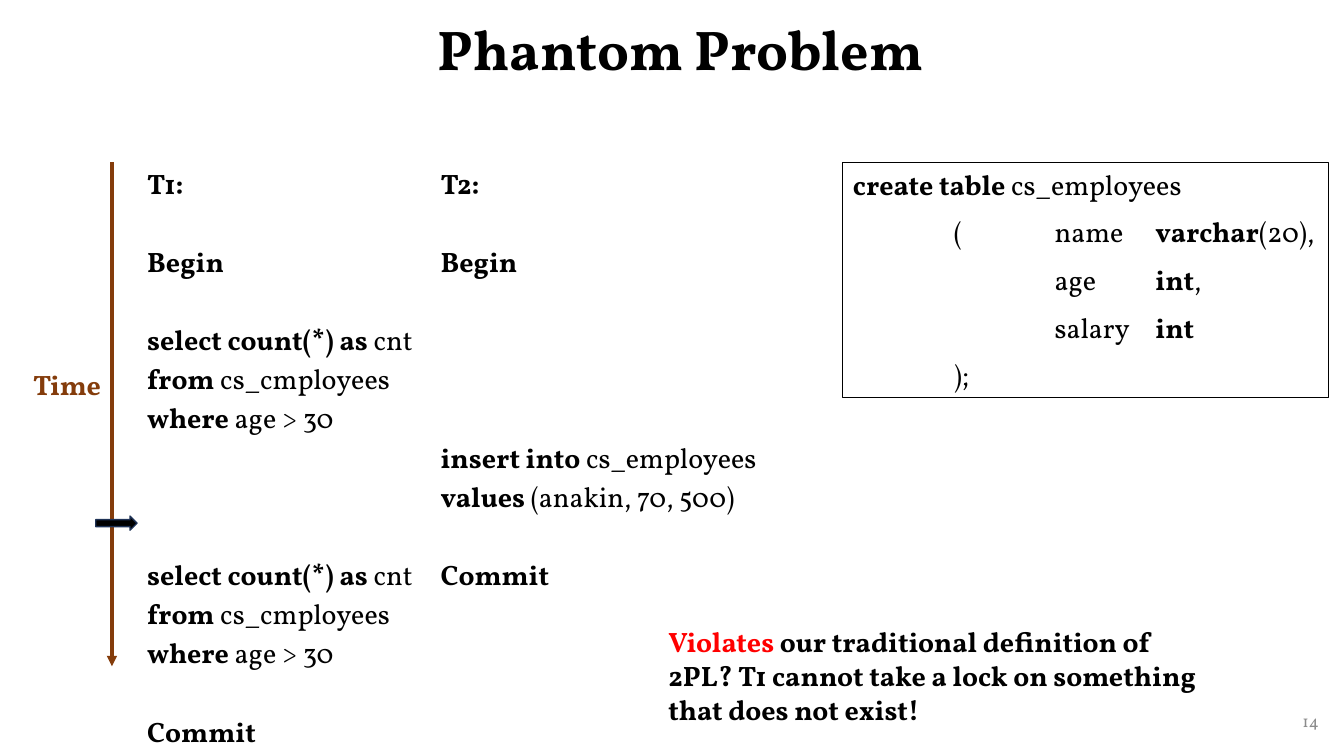
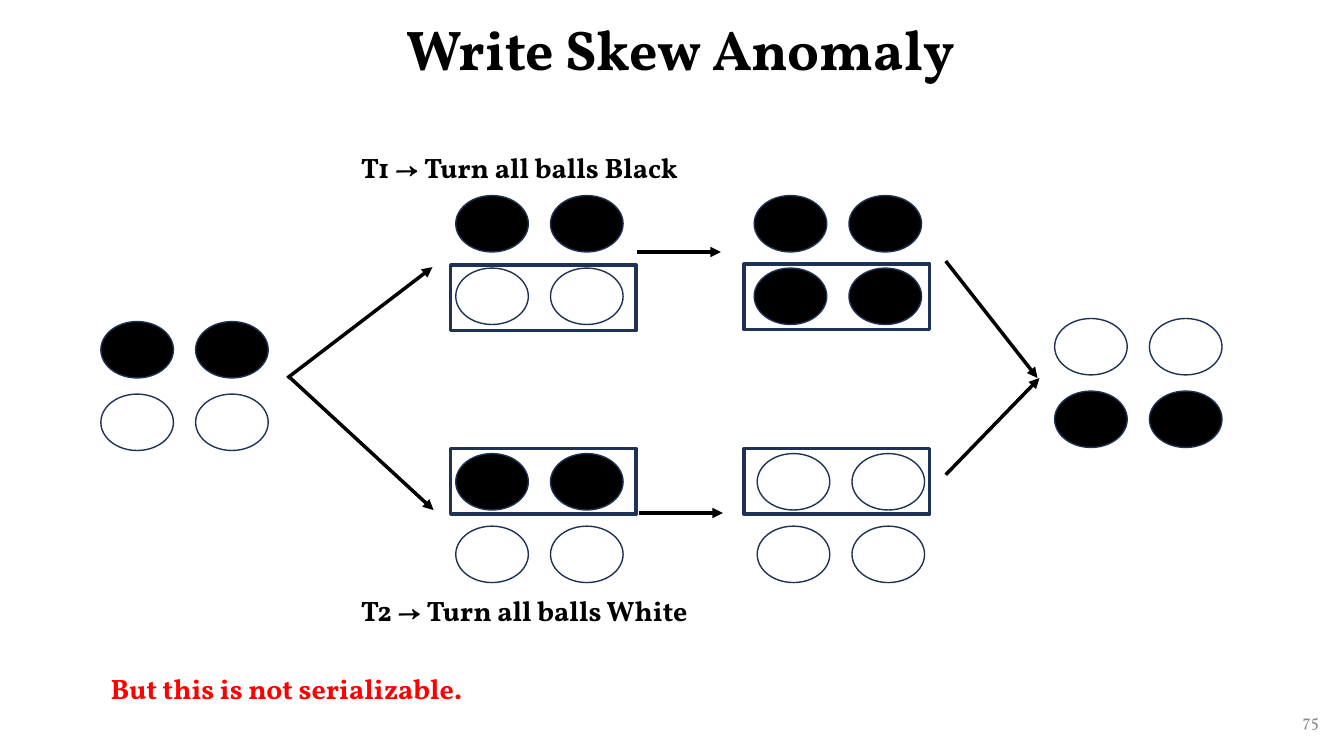
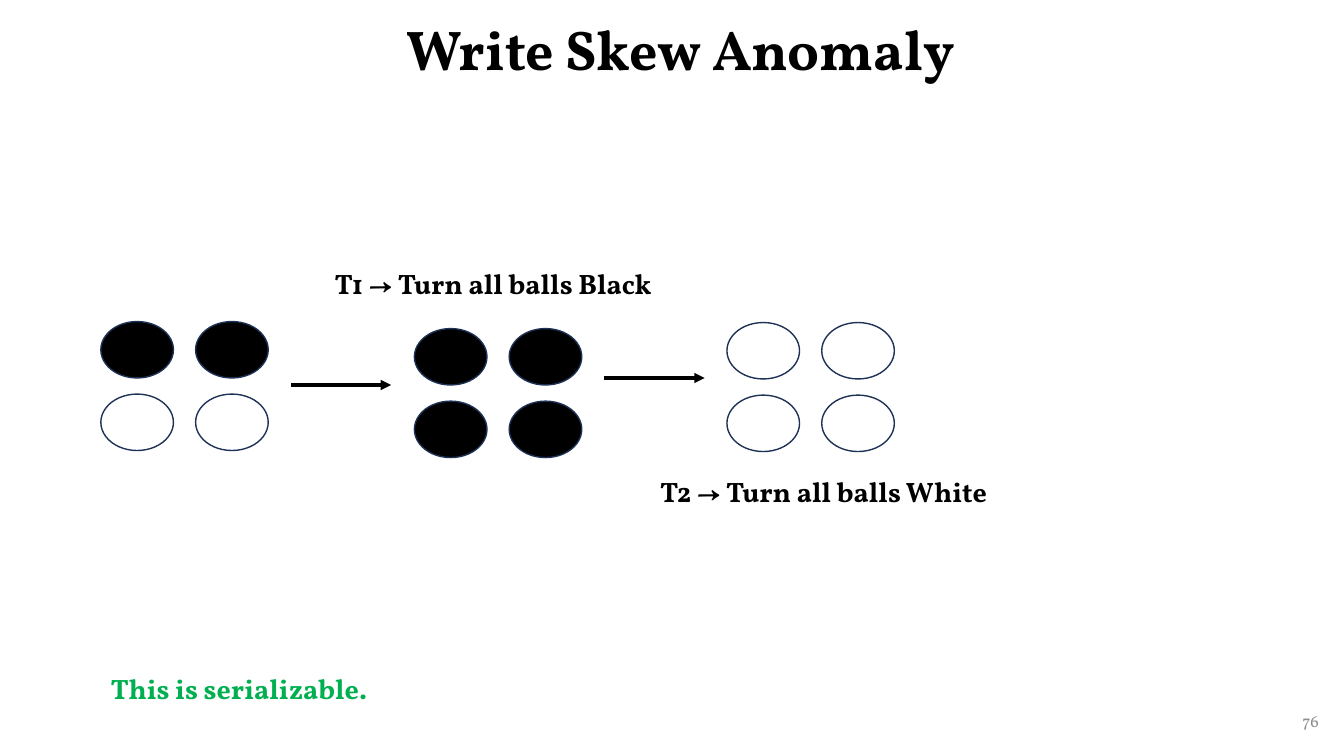
from lxml.etree import SubElement
from pptx import Presentation
from pptx.dml.color import RGBColor
from pptx.enum.shapes import MSO_CONNECTOR, MSO_SHAPE
from pptx.enum.text import MSO_ANCHOR, MSO_AUTO_SIZE, PP_ALIGN
from pptx.oxml.ns import qn
from pptx.util import Inches, Pt

BLACK = RGBColor(0x00, 0x00, 0x00)
WHITE = RGBColor(0xFF, 0xFF, 0xFF)
GRAY = RGBColor(0x8C, 0x8C, 0x8C)
NAVY = RGBColor(0x1E, 0x32, 0x56)
BROWN = RGBColor(0x84, 0x3C, 0x0B)
RED = RGBColor(0xFF, 0x00, 0x00)
GREEN = RGBColor(0x00, 0xB0, 0x50)
FONT = "Vollkorn"
BALL_W, BALL_H = 0.72, 0.56
BALL_STEP_X, BALL_STEP_Y = 0.94, 0.72
FRAME_W, FRAME_H = 1.84, 0.65
TIME_STEP_PT = 28


def write(paragraph, *pieces, size=20, bold=True, color=BLACK, align=None,
          before=None, spacing=None):
    """Append pieces as runs that alternate between bold and regular."""
    if align is not None:
        paragraph.alignment = align
    if before is not None:
        paragraph.space_before = Pt(before)
    if spacing is not None:
        paragraph.line_spacing = spacing
    for index, piece in enumerate(pieces):
        run = paragraph.add_run()
        run.text = piece
        run.font.name = FONT
        run.font.size = Pt(size)
        run.font.bold = bold == (index % 2 == 0)
        run.font.color.rgb = color


def add_arrow(slide, start, end, color=BLACK):
    points = [Inches(value) for value in (*start, *end)]
    arrow = slide.shapes.add_connector(MSO_CONNECTOR.STRAIGHT, *points)
    arrow.line.color.rgb = color
    arrow.line.width = Pt(2.5)
    properties = arrow._element.spPr
    SubElement(properties.find(qn("a:ln")), qn("a:tailEnd"), type="triangle")
    SubElement(properties, qn("a:effectLst"))


deck = Presentation()
deck.slide_width, deck.slide_height = Inches(13.33), Inches(7.5)
TITLE_AND_BODY, TITLE_ONLY = deck.slide_layouts[1], deck.slide_layouts[5]

# Title and page number
slides = []
for heading, number, layout in [
    ("Phantom Problem", "14", TITLE_AND_BODY),
    ("Write Skew Anomaly", "75", TITLE_ONLY),
    ("Write Skew Anomaly", "76", TITLE_ONLY),
]:
    slide = deck.slides.add_slide(layout)
    title = slide.shapes.title
    title.left, title.top = Inches(1), Inches(0.02)
    title.width, title.height = Inches(11.5), Inches(0.99)
    title.text_frame.auto_size = MSO_AUTO_SIZE.NONE
    title.text_frame.vertical_anchor = MSO_ANCHOR.MIDDLE
    write(title.text_frame.paragraphs[0], heading, size=40,
          align=PP_ALIGN.CENTER, spacing=0.9)
    page = slide.shapes.add_textbox(Inches(10.18), Inches(6.95), Inches(3), Inches(0.4))
    page.text_frame.word_wrap = True
    page.text_frame.vertical_anchor = MSO_ANCHOR.MIDDLE
    write(page.text_frame.paragraphs[0], number, size=12, bold=False,
          color=GRAY, align=PP_ALIGN.RIGHT)
    slides.append(slide)
phantom, skew, serial = slides

# Phantom problem: the schedule, each line with the time steps skipped before it
query = [("select count(*) as ", "cnt"), ("from ", "cs_cmployees"), ("where", " age > 30")]
schedules = [
    [(0, ["T1:"]), (1, ["Begin"]),
     (1, query[0]), (0, query[1]), (0, query[2]),
     (3, query[0]), (0, query[1]), (0, query[2]),
     (1, ["Commit"])],
    [(0, ["T2:"]), (1, ["Begin"]),
     (4, ["insert into ", "cs_employees"]), (0, ["values", " (anakin, 70, 500)"]),
     (1, ["Commit"])],
]
schedule_table = phantom.shapes.add_table(
    1, 2, Inches(1.36), Inches(1.61), Inches(6.31), Inches(5.1)).table
schedule_table.first_row = schedule_table.horz_banding = False
for column, (width, schedule) in enumerate(zip((2.91, 3.4), schedules)):
    schedule_table.columns[column].width = Inches(width)
    cell = schedule_table.cell(0, column)
    cell.fill.background()
    for index, (skipped, pieces) in enumerate(schedule):
        step = cell.text_frame.add_paragraph() if index else cell.text_frame.paragraphs[0]
        write(step, *pieces, before=skipped * TIME_STEP_PT)

add_arrow(phantom, (1.11, 1.61), (1.11, 6.61), BROWN)
time_label = phantom.shapes.add_textbox(Inches(0.23), Inches(3.6), Inches(0.95), Inches(0.44))
time_label.text_frame.word_wrap = True
write(time_label.text_frame.paragraphs[0], "Time", color=BROWN)

now_marker = phantom.shapes.add_shape(
    MSO_SHAPE.RIGHT_ARROW, Inches(0.95), Inches(5.12), Inches(0.41), Inches(0.14))
now_marker.shadow.inherit = False
now_marker.fill.solid()
now_marker.fill.fore_color.rgb = BLACK
now_marker.line.color.rgb = NAVY
now_marker.line.width = Pt(1)

# Phantom problem: table definition
definition = phantom.placeholders[1]
definition.left, definition.top = Inches(8.36), Inches(1.61)
definition.width, definition.height = Inches(4.82), Inches(2.33)
definition.line.color.rgb = BLACK
definition.line.width = Pt(0.75)
definition.text_frame.auto_size = MSO_AUTO_SIZE.NONE
for index, (bold, pieces) in enumerate([
    (True, ["create table ", "cs_employees"]),
    (False, ["\t(\tname\t", "varchar", "(20),"]),
    (False, ["\t\tage\t", "int", ","]),
    (False, ["\t\tsalary\t", "int"]),
    (False, ["\t);"]),
]):
    frame = definition.text_frame
    code_line = frame.add_paragraph() if index else frame.paragraphs[0]
    properties = code_line._p.get_or_add_pPr()
    properties.set("marL", "0")
    properties.set("indent", "0")
    properties.set("defTabSz", str(Inches(1)))
    SubElement(properties, qn("a:buNone"))
    write(code_line, *pieces, bold=bold, align=PP_ALIGN.JUSTIFY, before=10 if index else 0)

violation = phantom.shapes.add_textbox(Inches(6.53), Inches(6.15), Inches(5.52), Inches(1.11))
violation.text_frame.word_wrap = True
verdict = violation.text_frame.paragraphs[0]
write(verdict, "Violates", color=RED)
write(verdict, " our traditional definition of 2PL? T1 cannot take a lock on "
      "something that does not exist!")

# Write skew: balls as (left, top, upper colour, lower colour)
TURN_BLACK, TURN_WHITE = "T1 → Turn all balls Black", "T2 → Turn all balls White"
start_balls = (1, 3.19, BLACK, WHITE)
for slide, ball_sets, frames, arrows, labels in [
    (skew,
     [start_balls, (4.52, 1.94, BLACK, WHITE), (4.52, 4.5, BLACK, WHITE),
      (7.48, 1.94, BLACK, BLACK), (7.51, 4.5, WHITE, WHITE),
      (10.46, 3.16, WHITE, BLACK)],
     [(4.47, 2.63), (7.38, 2.62), (4.47, 4.45), (7.38, 4.45)],
     [((2.85, 3.75), (4.29, 2.65)), ((2.88, 3.75), (4.3, 5.06)),
      ((6.32, 2.5), (7.15, 2.5)), ((6.34, 5.09), (7.17, 5.09)),
      ((9.38, 2.59), (10.29, 3.75)), ((9.38, 4.71), (10.31, 3.75))],
     [(3.48, 1.44, TURN_BLACK, BLACK), (3.48, 5.84, TURN_WHITE, BLACK),
      (1, 6.61, "But this is not serializable.", RED)]),
    (serial,
     [start_balls, (4.11, 3.26, BLACK, BLACK), (7.21, 3.2, WHITE, WHITE)],
     [],
     [((2.89, 3.82), (3.88, 3.82)), ((5.99, 3.75), (6.99, 3.75))],
     [(3.22, 2.59, TURN_BLACK, BLACK), (6.45, 4.66, TURN_WHITE, BLACK),
      (1, 6.61, "This is serializable.", GREEN)]),
]:
    for left, top, *row_colors in ball_sets:
        for row, color in enumerate(row_colors):
            for column in range(2):
                ball = slide.shapes.add_shape(
                    MSO_SHAPE.OVAL,
                    Inches(left + column * BALL_STEP_X), Inches(top + row * BALL_STEP_Y),
                    Inches(BALL_W), Inches(BALL_H))
                ball.shadow.inherit = False
                ball.fill.solid()
                ball.fill.fore_color.rgb = color
                ball.line.color.rgb = NAVY
                ball.line.width = Pt(1)
    for left, top in frames:
        changed = slide.shapes.add_shape(
            MSO_SHAPE.RECTANGLE, Inches(left), Inches(top), Inches(FRAME_W), Inches(FRAME_H))
        changed.shadow.inherit = False
        changed.fill.background()
        changed.line.color.rgb = NAVY
        changed.line.width = Pt(2.5)
    for start, end in arrows:
        add_arrow(slide, start, end)
    for left, top, text, color in labels:
        label = slide.shapes.add_textbox(Inches(left), Inches(top), Inches(3.8), Inches(0.44))
        label.text_frame.word_wrap = True
        write(label.text_frame.paragraphs[0], text, color=color)

deck.save("out.pptx")
